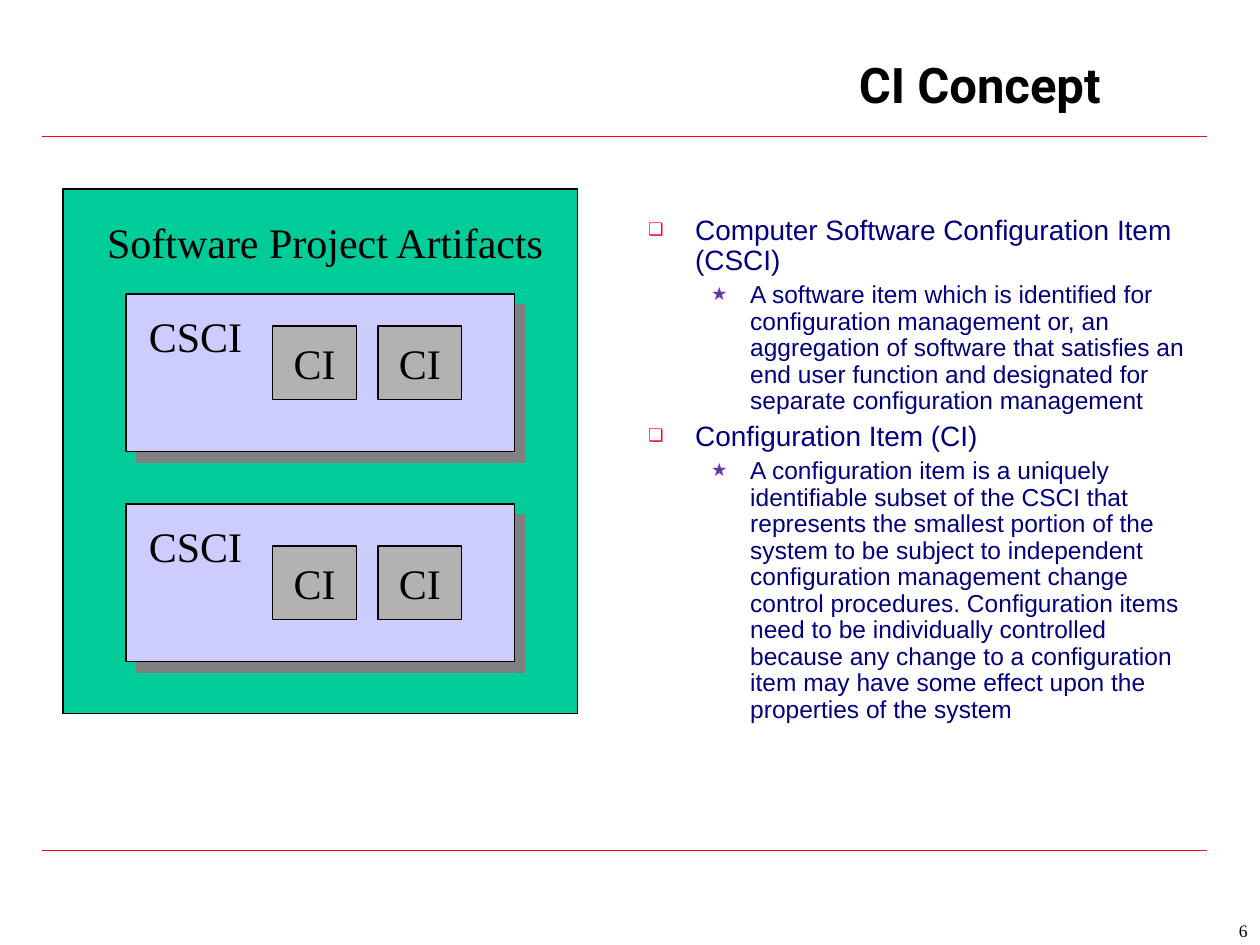
from lxml.etree import SubElement
from pptx import Presentation
from pptx.dml.color import RGBColor
from pptx.enum.shapes import MSO_CONNECTOR, MSO_SHAPE
from pptx.enum.text import MSO_ANCHOR, MSO_AUTO_SIZE, PP_ALIGN
from pptx.oxml.ns import qn
from pptx.util import Cm, Pt

HUES = {
    "rule": "FC0128", "star": "6338AD", "ink": "000000", "body": "000080",
    "green": "00CC99", "lilac": "CCCCFF", "gray": "B2B2B2", "shade": "808080",
}
SERIF = "Times New Roman"

# Body list: level, text
ITEMS = [
    (0, "Computer Software Configuration Item (CSCI)"),
    (1, "A software item which is identified for configuration management or, "
        "an aggregation of software that satisfies an end user function and "
        "designated for separate configuration management"),
    (0, "Configuration Item (CI)"),
    (1, "A configuration item is a uniquely identifiable subset of the CSCI that "
        "represents the smallest portion of the system to be subject to "
        "independent configuration management change control procedures. "
        "Configuration items need to be individually controlled because any "
        "change to a configuration item may have some effect upon the "
        "properties of the system"),
]
# Per level: size, space before, left margin, hang, bullet, bullet colour, bullet %
LEVELS = [
    (16, 4, 0.95, 0.95, "❏", "rule", 62),
    (14, 3.5, 2.06, 0.79, "★", "star", 75),
]


def hue(name):
    return RGBColor.from_string(HUES[name])


def place(shape, x, y, w, h):
    shape.left, shape.top, shape.width, shape.height = Cm(x), Cm(y), Cm(w), Cm(h)


def style(para, size, face, color="ink", bold=False):
    font = para.font
    font.size, font.name, font.bold = Pt(size), face, bold
    font.color.rgb = hue(color)


def add_rect(slide, x, y, w, h, fill):
    rect = slide.shapes.add_shape(MSO_SHAPE.RECTANGLE, Cm(x), Cm(y), Cm(w), Cm(h))
    rect.shadow.inherit = False
    rect.fill.solid()
    rect.fill.fore_color.rgb = hue(fill)
    rect.line.color.rgb = hue("ink")
    rect.line.width = Pt(0.75)
    return rect


def add_shade(shape):
    effects = shape._element.spPr.find(qn("a:effectLst"))
    outer = SubElement(effects, qn("a:outerShdw"), dist=str(Pt(8.5)),
                       dir=str(45 * 60000), algn="ctr", rotWithShape="0")
    SubElement(outer, qn("a:srgbClr"), val=HUES["shade"])


def add_label(slide, text, x, y, w, h, size=24, align=PP_ALIGN.LEFT):
    frame = slide.shapes.add_textbox(Cm(x), Cm(y), Cm(w), Cm(h)).text_frame
    frame.word_wrap = True
    para = frame.paragraphs[0]
    para.text, para.alignment = text, align
    style(para, size, SERIF)


def add_rule(slide, x, y, w):
    line = slide.shapes.add_connector(MSO_CONNECTOR.STRAIGHT,
                                      Cm(x), Cm(y), Cm(x + w), Cm(y))
    line.line.color.rgb = hue("rule")
    line.line.width = Pt(0.75)
    SubElement(line._element.spPr, qn("a:effectLst"))


def set_title(slide, x, y, w, h):
    title = slide.shapes.title
    place(title, x, y, w, h)
    frame = title.text_frame
    frame.text = "CI Concept"
    frame.auto_size = MSO_AUTO_SIZE.NONE
    frame.vertical_anchor = MSO_ANCHOR.MIDDLE
    para = frame.paragraphs[0]
    para.alignment = PP_ALIGN.RIGHT
    style(para, 28, "Roboto", bold=True)


def set_bullet(para, left, hang, mark, color, scale):
    props = para._p.get_or_add_pPr()
    props.set("marL", str(Cm(left)))
    props.set("indent", str(-Cm(hang)))
    tint = SubElement(props, qn("a:buClr"))
    SubElement(tint, qn("a:srgbClr"), val=HUES[color])
    SubElement(props, qn("a:buSzPct"), val=str(scale * 1000))
    SubElement(props, qn("a:buChar"), char=mark)


def set_list(slide, x, y, w, h):
    body = slide.placeholders[1]
    place(body, x, y, w, h)
    frame = body.text_frame
    frame.text = "\n".join(text for _, text in ITEMS)
    frame.auto_size = MSO_AUTO_SIZE.NONE
    for para, (level, _) in zip(frame.paragraphs, ITEMS):
        size, before, *bullet = LEVELS[level]
        para.level = level
        para.line_spacing = 0.9
        para.space_before = Pt(before)
        set_bullet(para, *bullet)
        style(para, size, "Arial", "body")


def add_group(slide, x, y, w, h, drop):
    """One CSCI box with two CI boxes, set down from its top by drop."""
    add_shade(add_rect(slide, x, y, w, h, "lilac"))
    add_label(slide, "CSCI", x + 0.21, y + 0.21, 4.23, 1.27)
    for col in range(2):
        item = add_rect(slide, x + 2.96 + col * 2.12, y + drop, 1.69, 1.48, "gray")
        frame = item.text_frame
        frame.word_wrap = False
        frame.vertical_anchor = MSO_ANCHOR.MIDDLE
        para = frame.paragraphs[0]
        para.text, para.alignment = "CI", PP_ALIGN.CENTER
        style(para, 24, SERIF)


def add_chart_box(slide, x, y, w, h):
    add_rect(slide, x, y, w, h, "green")
    add_label(slide, "Software Project Artifacts", x + 0.64, y + 0.42, 9.53, 1.27)
    for row, drop in enumerate((0.64, 0.85)):
        add_group(slide, x + 1.27, y + 2.12 + row * 4.23, 7.83, 3.18, drop)


def main():
    deck = Presentation()
    deck.slide_width, deck.slide_height = Cm(25.4), Cm(19.05)
    slide = deck.slides.add_slide(deck.slide_layouts[1])

    # Rules under the title and above the foot
    for y in (2.75, 17.15):
        add_rule(slide, 0.85, y, 23.49)

    # Title, list and diagram
    set_title(slide, 0.85, 0.64, 21.59, 2.12)
    set_list(slide, 12.81, 4.23, 11.53, 11.43)
    add_chart_box(slide, 1.27, 3.81, 10.37, 10.58)

    # Page number
    add_label(slide, "6", 20.11, 18.42, 5.29, 0.63, 10, PP_ALIGN.RIGHT)

    deck.save("out.pptx")


if __name__ == "__main__":
    main()
